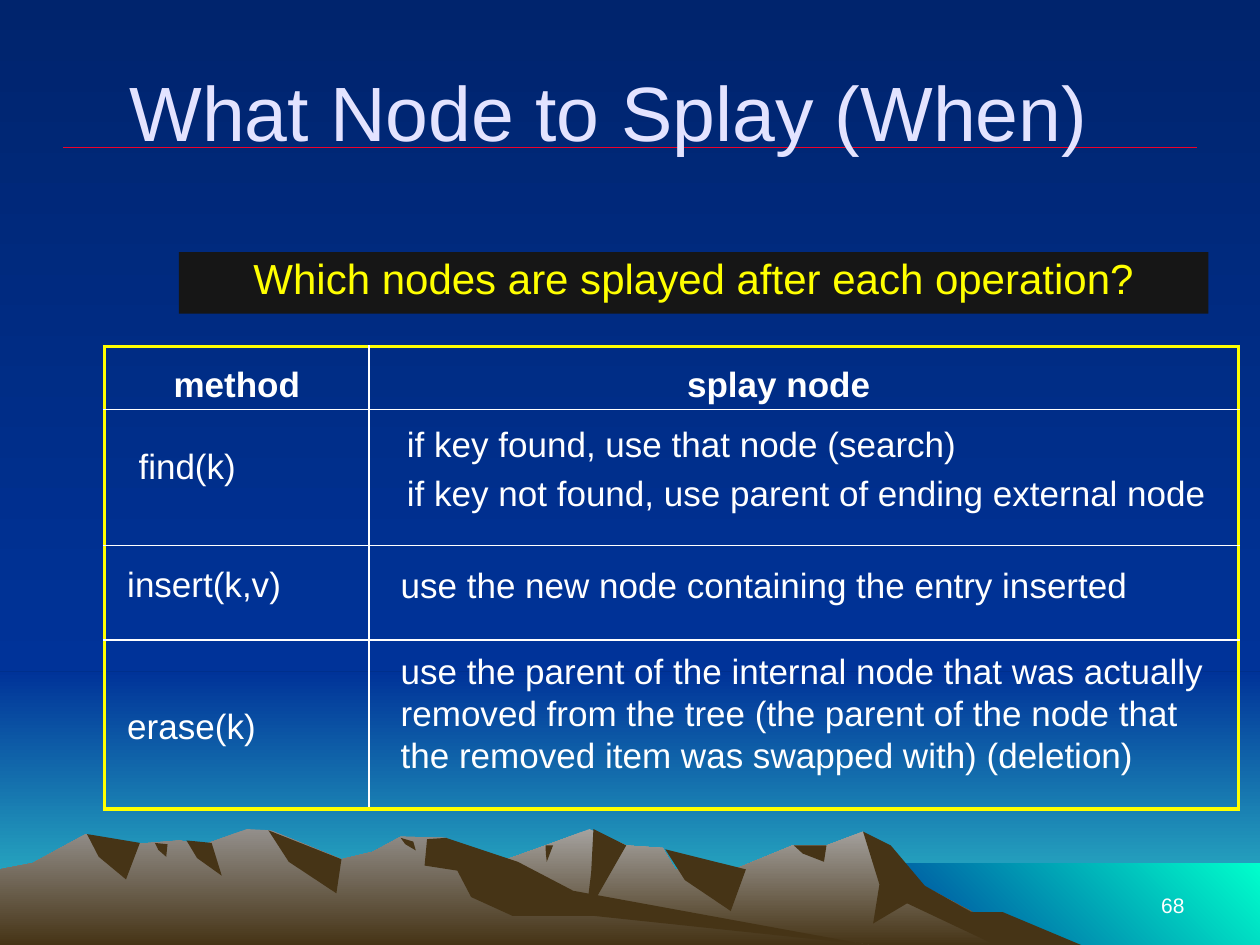
from collections import namedtuple

from lxml.etree import SubElement
from pptx import Presentation
from pptx.dml.color import RGBColor
from pptx.enum.shapes import MSO_CONNECTOR as Connector, MSO_SHAPE as Preset
from pptx.enum.text import MSO_ANCHOR as Anchor, PP_ALIGN as Align
from pptx.oxml.ns import qn
from pptx.util import Inches, Pt

THEME = {
    "font": "Arial",
    "night": "00246D", "blue": "003399", "teal": "33CCCC", "aqua": "00FFCC",
    "rock": "463416", "haze": "A5A29F", "far_haze": "938F8B",
    "rule": "EF0129", "title": "E3E3FF", "panel": "161616",
    "yellow": "FFFF00", "white": "FFFFFF",
    "title_size": 44, "question_size": 24, "table_size": 20, "number_size": 12,
    "frame_width": 2.25, "grid_width": 1, "rule_width": 1,
}
DOWNWARD, UP_RIGHT = 270, 45
SLIDE_WIDTH, SLIDE_HEIGHT, HORIZON = 10, 7.5, 5.33

Band = namedtuple("Band", "left top width height colors angle")
Range = namedtuple("Range", "skyline color long_slope facets")
Facet = namedtuple("Facet", "x y reach fall lean drop")
Label = namedtuple("Label", "text left top width height size color align anchor")
Entry = namedtuple("Entry", "lines left top right", defaults=(0.1,))


def paint(fill, colors, angle=DOWNWARD):
    if len(colors) == 1:
        fill.solid()
        fill.fore_color.rgb = RGBColor.from_string(THEME[colors[0]])
        return
    fill.gradient()
    fill.gradient_angle = angle
    for stop, color in zip(fill.gradient_stops, colors):
        stop.color.rgb = RGBColor.from_string(THEME[color])


def write(frame, lines, size, color, align, spacing=1, bold=False):
    frame.word_wrap = True
    frame.text = "\n".join(lines)
    for index, paragraph in enumerate(frame.paragraphs):
        paragraph_format = {"alignment": align, "line_spacing": spacing,
                            "space_before": Pt(4 if index else 0)}
        font_format = {"name": THEME["font"], "size": Pt(THEME[size]), "bold": bold}
        for target, values in ((paragraph, paragraph_format), (paragraph.font, font_format)):
            for name, value in values.items():
                setattr(target, name, value)
        paragraph.font.color.rgb = RGBColor.from_string(THEME[color])


presentation = Presentation()
presentation.slide_width = Inches(SLIDE_WIDTH)
presentation.slide_height = Inches(SLIDE_HEIGHT)
slide = presentation.slides.add_slide(presentation.slide_layouts[6])
paint(slide.background.fill, ("night", "blue"))

glow = Band(0, HORIZON, SLIDE_WIDTH, SLIDE_HEIGHT - HORIZON, ("blue", "teal"), DOWNWARD)
sky = Band(0, 0, SLIDE_WIDTH, HORIZON, ("night", "blue"), DOWNWARD)
sea = Band(6.83, 6.85, 3.17, 0.65, ("blue", "aqua"), UP_RIGHT)
for band in (glow, sky, sea):
    shape = slide.shapes.add_shape(
        Preset.RECTANGLE, Inches(band.left), Inches(band.top),
        Inches(band.width), Inches(band.height))
    shape.shadow.inherit = False
    shape.line.fill.background()
    paint(shape.fill, band.colors, band.angle)

near_range = Range(
    skyline=[(2.58, 7.5), (3.27, 7.09), (3.94, 6.85), (4.33, 6.71), (4.68, 6.58),
             (4.97, 6.71), (5.26, 6.73), (5.36, 6.9), (5.66, 6.97), (6.29, 6.71),
             (6.56, 6.71), (6.85, 6.6), (7.23, 6.98), (8.21, 7.5)],
    color="haze",
    long_slope=[(6.85, 6.6), (7.07, 6.71), (7.34, 7.03), (7.71, 7.24), (7.96, 7.24),
                (8.58, 7.5), (7.9, 7.5), (7.2, 7.17), (6.93, 7.33), (6.98, 7.02)],
    facets=[Facet(4.71, 6.58, 0.26, 0.13, -0.06, 0.69),
            Facet(5.28, 6.74, 0.64, 0.16, 0.52, 0.49),
            Facet(6.3, 6.71, 0.26, 0, 0.24, 0.13),
            Facet(4.33, 6.71, 0.06, 0, 0.01, 0.13)])
far_range = Range(
    skyline=[(0, 7.5), (0, 6.9), (0.26, 6.85), (0.68, 6.62), (0.94, 6.71), (1.43, 6.67),
             (1.6, 6.71), (1.96, 6.58), (2.15, 6.59), (2.71, 6.82), (2.96, 6.76),
             (3.18, 6.64), (3.54, 6.65), (4.32, 7.12), (6.9, 7.5)],
    color="far_haze",
    long_slope=[(3.39, 6.66), (3.54, 6.65), (4.11, 6.84), (4.55, 7.07), (6.9, 7.5),
                (4.72, 7.27), (4.07, 7.27), (3.74, 7.12), (3.63, 6.91), (3.37, 6.87)],
    facets=[Facet(2.13, 6.59, 0.58, 0.23, 0.54, 0.5),
            Facet(0.69, 6.62, 0.42, 0.07, 0.31, 0.36),
            Facet(1.48, 6.67, 0.2, 0.02, 0.28, 0.28),
            Facet(1.23, 6.69, 0.1, 0.01, 0.09, 0.11),
            Facet(3.18, 6.65, 0.1, 0.03, 0.12, 0.1)])

for mountains in (near_range, far_range):
    outlines = [(mountains.skyline, (mountains.color, "rock")),
                (mountains.long_slope, ("rock",))]
    for facet in mountains.facets:
        crest = (facet.x, facet.y)
        shoulder = (facet.x + facet.reach, facet.y + facet.fall)
        tip = (facet.x + facet.lean, facet.y + facet.drop)
        notch = (facet.x + facet.lean * 0.3, facet.y + facet.drop * 0.5)
        outlines.append(([crest, shoulder, tip, notch], ("rock",)))
    for points, colors in outlines:
        start, *others = [(Inches(x), Inches(y)) for x, y in points]
        builder = slide.shapes.build_freeform(*start)
        builder.add_line_segments(others, close=True)
        shape = builder.convert_to_shape()
        shape.shadow.inherit = False
        shape.line.fill.background()
        paint(shape.fill, colors)

rule = slide.shapes.add_connector(
    Connector.STRAIGHT, Inches(0.5), Inches(1.17), Inches(9.5), Inches(1.17))
rule.line.color.rgb = RGBColor.from_string(THEME["rule"])
rule.line.width = Pt(THEME["rule_width"])
SubElement(rule._element.spPr, qn("a:effectLst"))
rule._element.remove(rule._element.find(qn("p:style")))

number = Label("68", 7.17, 6.83, 2.33, 0.5,
               "number_size", "white", Align.RIGHT, Anchor.BOTTOM)
title = Label("What Node to Splay (When)", 0.17, 0.25, 9.33, 1.25,
              "title_size", "title", Align.CENTER, Anchor.MIDDLE)
question = Label("Which nodes are splayed after each operation?", 1.42, 2, 8.17, 0.49,
                 "question_size", "yellow", Align.CENTER, Anchor.TOP)
for label in (number, title, question):
    box = slide.shapes.add_textbox(
        Inches(label.left), Inches(label.top), Inches(label.width), Inches(label.height))
    box.text_frame.vertical_anchor = label.anchor
    spacing = 0.9 if label is question else 1
    write(box.text_frame, [label.text], label.size, label.color, label.align, spacing)
    if label is question:
        paint(box.fill, ("panel",))

column_widths = (2.1, 6.9)
row_heights = (0.5, 1.08, 0.75, 1.34)
entries = [
    (Entry(["method"], 0.1, 0.13), Entry(["splay node"], 0.1, 0.13, 0.5)),
    (Entry(["find(k)"], 0.27, 0.28),
     Entry(["if key found, use that node (search)",
            "if key not found, use parent of ending external node"], 0.3, 0.11)),
    (Entry(["insert(k,v)"], 0.18, 0.14),
     Entry(["use the new node containing the entry inserted"], 0.25, 0.15)),
    (Entry(["erase(k)"], 0.18, 0.52),
     Entry(["use the parent of the internal node that was actually removed from the tree "
            "(the parent of the node that the removed item was swapped with) (deletion)"],
           0.25, 0.08, 0.21)),
]
table = slide.shapes.add_table(
    len(row_heights), len(column_widths), Inches(0.83), Inches(2.75),
    Inches(sum(column_widths)), Inches(sum(row_heights))).table
table.first_row = False
table.horz_banding = False
for column, width in zip(table.columns, column_widths):
    column.width = Inches(width)
for row, height in zip(table.rows, row_heights):
    row.height = Inches(height)

for row_index, row_entries in enumerate(entries):
    header = row_index == 0
    for column_index, entry in enumerate(row_entries):
        cell = table.cell(row_index, column_index)
        align = Align.CENTER if header else Align.LEFT
        write(cell.text_frame, entry.lines, "table_size", "white", align, 1.07, header)
        margins = {"margin_left": entry.left, "margin_top": entry.top,
                   "margin_right": entry.right, "margin_bottom": 0}
        for name, margin in margins.items():
            setattr(cell, name, Inches(margin))
        on_frame = {"lnL": column_index == 0, "lnR": column_index == len(column_widths) - 1,
                    "lnT": header, "lnB": row_index == len(row_heights) - 1}
        for tag, framed in on_frame.items():
            width, color = ("frame_width", "yellow") if framed else ("grid_width", "white")
            border = SubElement(
                cell._tc.get_or_add_tcPr(), qn(f"a:{tag}"), w=str(Pt(THEME[width])))
            border_fill = SubElement(border, qn("a:solidFill"))
            SubElement(border_fill, qn("a:srgbClr"), val=THEME[color])
        cell.fill.background()

presentation.save("out.pptx")
